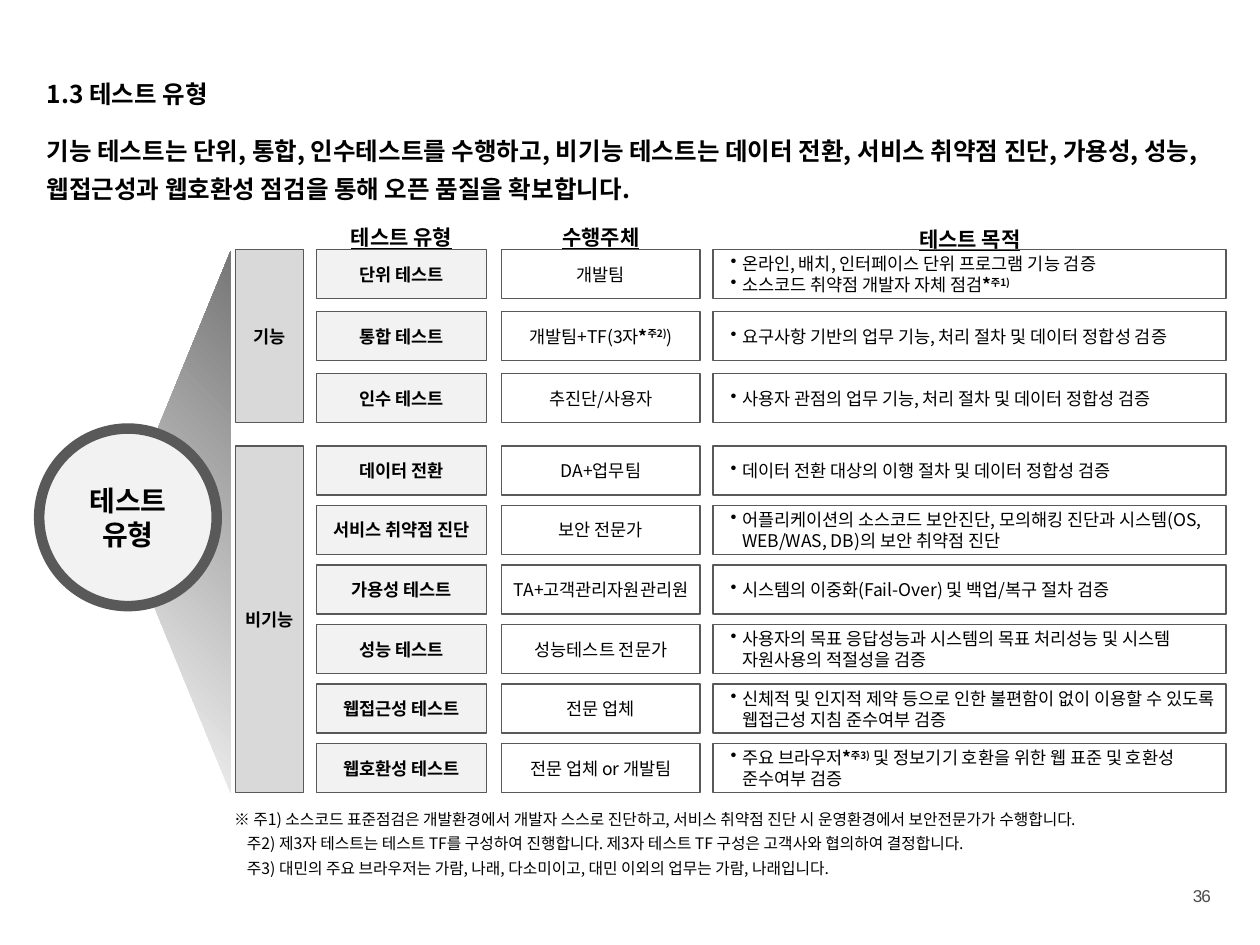
from lxml import etree
from pptx import Presentation
from pptx.dml.color import RGBColor
from pptx.enum.shapes import MSO_SHAPE
from pptx.enum.text import MSO_ANCHOR, MSO_AUTO_SIZE, PP_ALIGN
from pptx.oxml.ns import qn
from pptx.util import Cm, Pt

RECT, OVAL, WEDGE = MSO_SHAPE.RECTANGLE, MSO_SHAPE.OVAL, MSO_SHAPE.ISOSCELES_TRIANGLE
MIDDLE, CENTER, LEFT = MSO_ANCHOR.MIDDLE, PP_ALIGN.CENTER, PP_ALIGN.LEFT
GROW = MSO_AUTO_SIZE.SHAPE_TO_FIT_TEXT

BLACK = RGBColor(0x00, 0x00, 0x00)
WHITE = RGBColor(0xFF, 0xFF, 0xFF)
PALE = RGBColor(0xF2, 0xF2, 0xF2)
SILVER = RGBColor(0xD9, 0xD9, 0xD9)
GRAY = RGBColor(0x77, 0x77, 0x77)
EDGE = RGBColor(0x59, 0x59, 0x59)
SLATE = RGBColor(0x4C, 0x4C, 0x4E)


def note(num):
    """Runs for a bold star with a raised note number."""
    return [("*", "bold"), (f"주{num})", "raised")]


class Deck:
    def __init__(self, font):
        self.font = font
        self.prs = Presentation()
        self.prs.slide_width, self.prs.slide_height = Cm(25.4), Cm(19.05)
        self.slide = self.prs.slides.add_slide(self.prs.slide_layouts[6])

    def run(self, para, text, size, bold=False, line=False, raised=False,
            color=BLACK, font=None):
        run = para.add_run()
        run.text = text
        face = run.font
        face.name, face.size = font or self.font, Pt(size)
        face.bold, face.underline = bold, line
        face.color.rgb = color
        props = run._r.get_or_add_rPr()
        props.set("kern", "0")
        etree.SubElement(props, qn("a:ea")).set("typeface", face.name)
        if raised:
            props.set("baseline", "30000")

    def fill_text(self, frame, paras, size, align=LEFT, space=None, bullet=False,
                  bold=False, **style):
        """Each paragraph is a string or a list of (text, kind) runs."""
        for i, runs in enumerate(paras):
            para = frame.paragraphs[0] if i == 0 else frame.add_paragraph()
            para.alignment = align
            if space:
                para.line_spacing = space
            if bullet:
                self.indent(para, 0.48, -0.23)
                etree.SubElement(para._p.get_or_add_pPr(), qn("a:buChar")).set("char", "•")
            for text, kind in [(runs, "")] if isinstance(runs, str) else runs:
                self.run(para, text, size, bold=bold or kind != "",
                         raised=kind == "raised", **style)

    def indent(self, para, left, first=0):
        props = para._p.get_or_add_pPr()
        props.set("marL", str(Cm(left)))
        props.set("indent", str(Cm(first)))

    def label(self, x, y, w, h, paras, size, **style):
        frame = self.slide.shapes.add_textbox(Cm(x), Cm(y), Cm(w), Cm(h)).text_frame
        frame.word_wrap, frame.auto_size = True, GROW
        self.fill_text(frame, paras, size, **style)
        return frame

    def box(self, x, y, w, h, paras, fill=None, kind=RECT, edge=1, size=10,
            wrap=False, align=CENTER, **style):
        shape = self.slide.shapes.add_shape(kind, Cm(x), Cm(y), Cm(w), Cm(h))
        shape.shadow.inherit = False
        if fill is None:
            shape.fill.background()
        else:
            shape.fill.solid()
            shape.fill.fore_color.rgb = fill
        shape.line.color.rgb, shape.line.width = EDGE, Pt(edge)
        frame = shape.text_frame
        frame.word_wrap, frame.vertical_anchor = wrap, MIDDLE
        frame.margin_left = frame.margin_right = Cm(0.1)
        frame.margin_top = frame.margin_bottom = Cm(0.13)
        self.fill_text(frame, paras, size, align=align, **style)

    def beam(self, x, y, w, h):
        """Shaded triangle that points left."""
        shape = self.slide.shapes.add_shape(WEDGE, Cm(x), Cm(y), Cm(w), Cm(h))
        shape.shadow.inherit = False
        shape.rotation = 270
        shape.line.fill.background()
        shape.fill.gradient()
        shape.fill.gradient_angle = 315
        for stop, color, pos in zip(shape.fill.gradient_stops, (WHITE, GRAY), (0, 1)):
            stop.color.rgb, stop.position = color, pos


COLS = [  # left, width, heading, heading top
    (6.38, 3.43, "테스트 유형", 4.24),
    (10.11, 4.01, "수행주체", 4.24),
    (14.38, 10.34, "테스트 목적", 4.29),
]
HIGH = 0.99
GROUPS = [  # name, top, row step, rows of (type, owner, goals)
    ("기능", 5.03, 1.25, [
        ("단위 테스트", "개발팀",
         ["온라인, 배치, 인터페이스 단위 프로그램 기능 검증",
          [("소스코드 취약점 개발자 자체 점검", ""), *note(1)]]),
        ("통합 테스트", [("개발팀+TF(3자", ""), *note(2), (")", "")],
         ["요구사항 기반의 업무 기능, 처리 절차 및 데이터 정합성 검증"]),
        ("인수 테스트", "추진단/사용자",
         ["사용자 관점의 업무 기능, 처리 절차 및 데이터 정합성 검증"]),
    ]),
    ("비기능", 8.99, 1.2, [
        ("데이터 전환", "DA+업무팀",
         ["데이터 전환 대상의 이행 절차 및 데이터 정합성 검증"]),
        ("서비스 취약점 진단", "보안 전문가",
         ["어플리케이션의 소스코드 보안진단, 모의해킹 진단과 시스템(OS, WEB/WAS, DB)의 보안 취약점 진단"]),
        ("가용성 테스트", "TA+고객관리자원관리원",
         ["시스템의 이중화(Fail-Over) 및 백업/복구 절차 검증"]),
        ("성능 테스트", "성능테스트 전문가",
         ["사용자의 목표 응답성능과 시스템의 목표 처리성능 및 시스템 자원사용의 적절성을 검증"]),
        ("웹접근성 테스트", "전문 업체",
         ["신체적 및 인지적 제약 등으로 인한 불편함이 없이 이용할 수 있도록 웹접근성 지침 준수여부 검증"]),
        ("웹호환성 테스트", "전문 업체 or 개발팀",
         [[("주요 브라우저", ""), *note(3),
           (" 및 정보기기 호환을 위한 웹 표준 및 호환성 준수여부 검증", "")]]),
    ]),
]
NOTES = [
    "※ 주1) 소스코드 표준점검은 개발환경에서 개발자 스스로 진단하고, 서비스 취약점 진단 시 운영환경에서 보안전문가가 수행합니다.",
    "주2) 제3자 테스트는 테스트 TF를 구성하여 진행합니다. 제3자 테스트 TF 구성은 고객사와 협의하여 결정합니다.",
    "주3) 대민의 주요 브라우저는 가람, 나래, 다소미이고, 대민 이외의 업무는 가람, 나래입니다.",
]


def main():
    deck = Deck("Noto Sans CJK KR")
    deck.label(0.69, 1.47, 4.83, 0.86, ["1.3 테스트 유형"], 14, bold=True)
    deck.label(0.69, 2.44, 24, 1.8, [
        "기능 테스트는 단위, 통합, 인수테스트를 수행하고, 비기능 테스트는 데이터 전환, "
        "서비스 취약점 진단, 가용성, 성능, 웹접근성과 웹호환성 점검을 통해 오픈 품질을 확보합니다."],
        14, bold=True, space=1.3)

    for x, w, head, y in COLS:
        deck.label(x, y, w, 0.91, [head], 12, bold=True, line=True, align=CENTER, space=1.3)
    for name, top, step, rows in GROUPS:
        deck.box(4.75, top, 1.37, step * (len(rows) - 1) + HIGH, [name], SILVER, bold=True)
        for i, (kind, owner, goals) in enumerate(rows):
            y = top + i * step
            spots = [(x, y, w, HIGH) for x, w, *_ in COLS]
            deck.box(*spots[0], [kind], PALE, bold=True)
            deck.box(*spots[1], [owner])
            deck.box(*spots[2], goals, wrap=True, align=LEFT, bullet=True)

    deck.beam(-1.93, 9.4, 10.92, 2.24)
    deck.box(0.79, 8.64, 3.58, 3.58, ["테스트", "유형"], PALE, kind=OVAL, edge=6,
             size=16, bold=True)

    notes = deck.label(4.47, 16.08, 19.66, 1.75, NOTES, 9, space=1.3)
    for para in notes.paragraphs[1:]:
        deck.indent(para, 0.26)
    page = deck.label(23.8, 17.73, 0.86, 0.69, ["36"], 9.8, align=CENTER,
                      color=SLATE, font="Arial")
    page.margin_left = page.margin_right = 0
    page.word_wrap = False
    page.paragraphs[0].runs[0]._r.get_or_add_rPr().set("spc", "-70")
    deck.prs.save("out.pptx")


if __name__ == "__main__":
    main()
